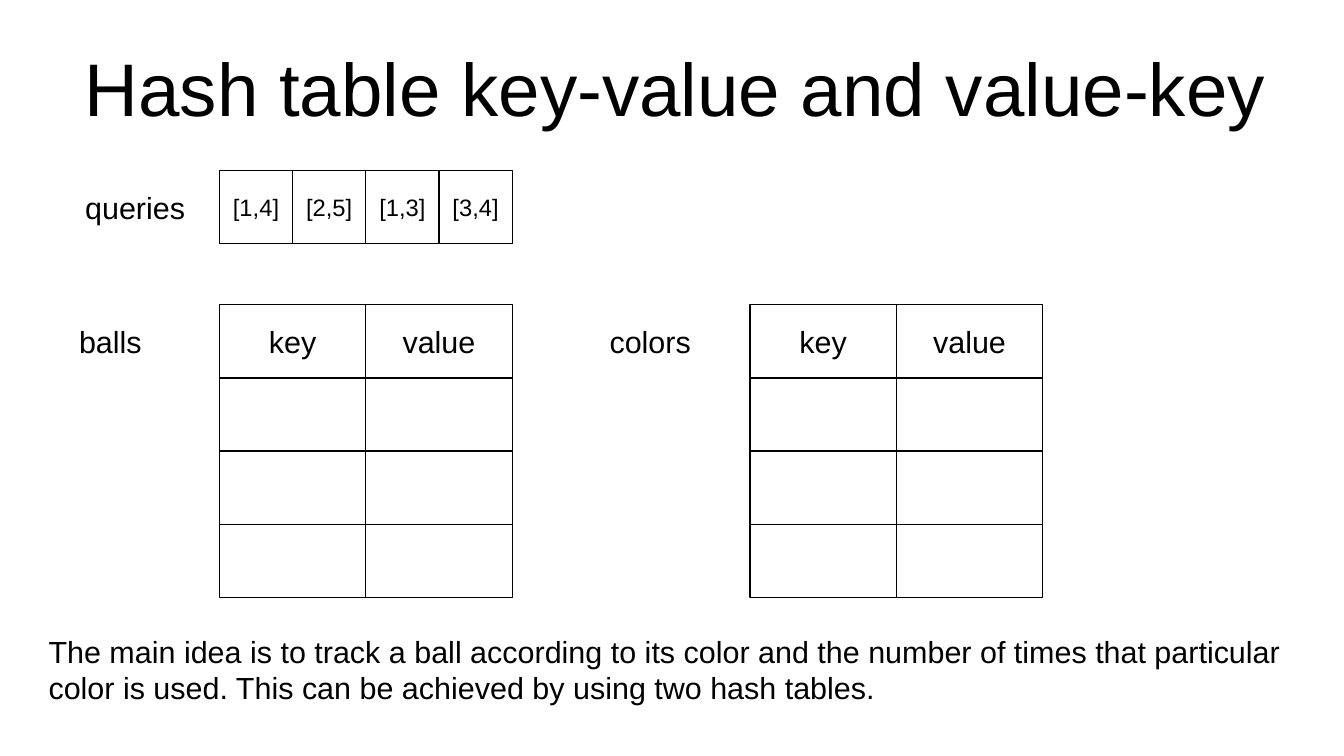
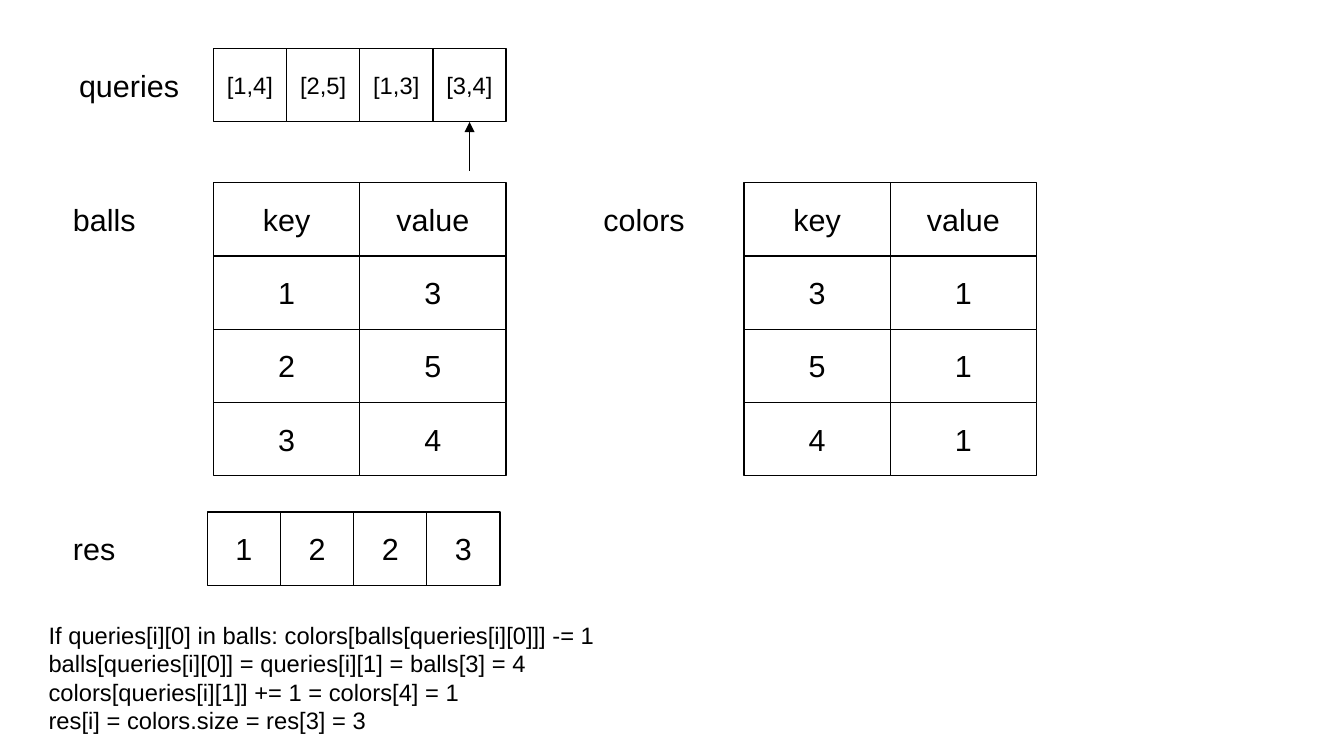
"""Builds two slides that trace ball colors with two hash tables."""
from lxml.etree import SubElement
from pptx import Presentation
from pptx.dml.color import RGBColor
from pptx.enum.shapes import MSO_CONNECTOR, MSO_SHAPE
from pptx.enum.text import MSO_ANCHOR, PP_ALIGN
from pptx.oxml.ns import qn
from pptx.util import Inches, Pt

FONT = "Arial"
BLACK, WHITE = "000000", "FFFFFF"
SLIDE_SIZE = 11.02, 6.2
CELL = 0.6
LABEL_DROP, LABEL_HEIGHT = 0.1, 0.4
ARRAY_LABEL = {"label_gap": 1.2, "label_width": 1.1}
TABLE_LABEL = {"label_gap": 1.25, "label_width": 0.9}
TABLES_APART = 4.35
ARRAY_TO_TABLES = 1.1

QUERIES = ["[1,4]", "[2,5]", "[1,3]", "[3,4]"]
HEADER = ["key", "value"]
TITLE = "Hash table key-value and value-key"
IDEA = [
    "The main idea is to track a ball according to its color and the number of times "
    "that particular color is used. This can be achieved by using two hash tables."
]
EMPTY_ROWS = [["", ""]] * 3
BALLS = [["1", "3"], ["2", "5"], ["3", "4"]]
COLORS = [["3", "1"], ["5", "1"], ["4", "1"]]
RESULTS = ["1", "2", "2", "3"]
STEPS = [
    "If queries[i][0] in balls: colors[balls[queries[i][0]]] -= 1",
    "balls[queries[i][0]] = queries[i][1] = balls[3] = 4",
    "colors[queries[i][1]] += 1 = colors[4] = 1",
    "res[i] = colors.size = res[3] = 3",
]


def color(value):
    return RGBColor.from_string(value)


def inches(*lengths):
    return [Inches(round(length, 2)) for length in lengths]


def add_run(paragraph, text, size):
    run = paragraph.add_run()
    run.text = text
    run.font.name = FONT
    run.font.size = Pt(size)
    run.font.color.rgb = color(BLACK)


def add_text(slide, box, lines, size=18):
    frame = slide.shapes.add_textbox(*inches(*box)).text_frame
    frame.word_wrap = True
    for index, line in enumerate(lines):
        paragraph = frame.add_paragraph() if index else frame.paragraphs[0]
        add_run(paragraph, line, size)
    return frame


def add_title(slide, text):
    frame = add_text(slide, (0.58, 0.2, 9.92, 1.03), [text], 44)
    frame.margin_left = frame.margin_right = frame.margin_top = frame.margin_bottom = 0
    frame.vertical_anchor = MSO_ANCHOR.MIDDLE
    frame.paragraphs[0].alignment = PP_ALIGN.CENTER


def add_cell(slide, box, text, size):
    shape = slide.shapes.add_shape(MSO_SHAPE.RECTANGLE, *inches(*box))
    shape.shadow.inherit = False
    shape.fill.solid()
    shape.fill.fore_color.rgb = color(WHITE)
    shape.line.color.rgb = color(BLACK)
    shape.line.width = Pt(0.75)
    if text:
        frame = shape.text_frame
        frame.word_wrap = False
        frame.vertical_anchor = MSO_ANCHOR.MIDDLE
        frame.paragraphs[0].alignment = PP_ALIGN.CENTER
        add_run(frame.paragraphs[0], text, size)
    return shape


def add_grid(slide, label, left, top, rows, cell_width, size, label_gap, label_width):
    label_box = left - label_gap, top + LABEL_DROP, label_width, LABEL_HEIGHT
    add_text(slide, label_box, [label])
    return [
        add_cell(slide, (left + column * cell_width, top + row * CELL, cell_width, CELL), text, size)
        for row, texts in enumerate(rows)
        for column, text in enumerate(texts)
    ]


def add_array(slide, label, left, top, values, size):
    return add_grid(slide, label, left, top, [values], CELL, size, **ARRAY_LABEL)


def add_state(slide, left, top, balls, colors):
    query_cells = add_array(slide, "queries", left, top, QUERIES, 14)
    for index, (label, rows) in enumerate([("balls", balls), ("colors", colors)]):
        add_grid(slide, label, left + index * TABLES_APART, top + ARRAY_TO_TABLES,
                 [HEADER] + rows, 2 * CELL, 18, **TABLE_LABEL)
    return query_cells


def add_pointer(slide, cell, length):
    middle, bottom = cell.left + cell.width // 2, cell.top + cell.height
    arrow = slide.shapes.add_connector(
        MSO_CONNECTOR.STRAIGHT, middle, bottom + Inches(length), middle, bottom)
    arrow.end_connect(cell, 2)
    arrow.line.color.rgb = color(BLACK)
    arrow.line.width = Pt(0.75)
    SubElement(arrow.line._get_or_add_ln(), qn("a:tailEnd"), type="triangle")
    SubElement(arrow._element.spPr, qn("a:effectLst"))


def main():
    presentation = Presentation()
    presentation.slide_width, presentation.slide_height = inches(*SLIDE_SIZE)
    blank = presentation.slide_layouts[6]

    idea_slide = presentation.slides.add_slide(blank)
    add_title(idea_slide, TITLE)
    add_state(idea_slide, 1.8, 1.4, EMPTY_ROWS, EMPTY_ROWS)
    add_text(idea_slide, (0.3, 5.14, 10.4, 0.66), IDEA)

    trace_slide = presentation.slides.add_slide(blank)
    query_cells = add_state(trace_slide, 1.75, 0.4, BALLS, COLORS)
    add_array(trace_slide, "res", 1.7, 4.2, RESULTS, 18)
    add_text(trace_slide, (0.3, 5.04, 10.4, 1.06), STEPS, 14)
    add_pointer(trace_slide, query_cells[-1], 0.4)

    presentation.save("out.pptx")


if __name__ == "__main__":
    main()
